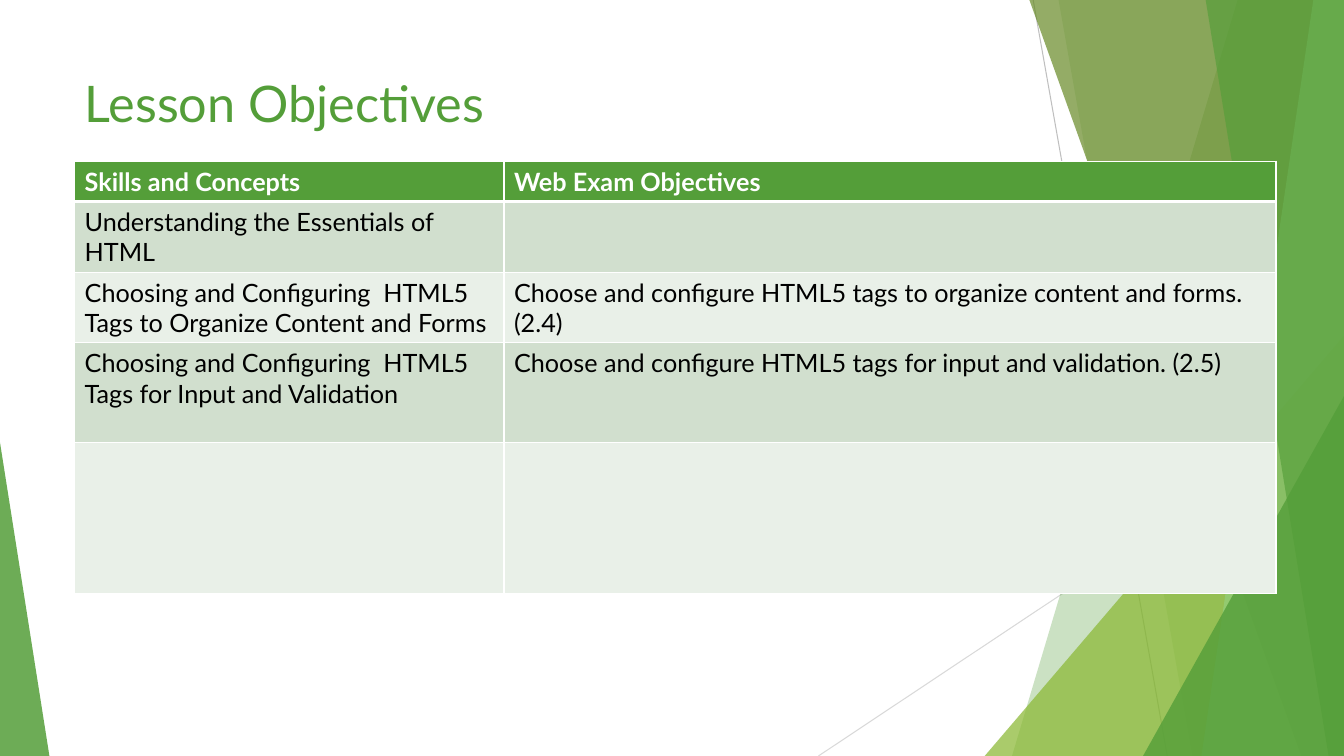
import pptx
import pptx.util
import pptx.dml.color
import pptx.enum.shapes
import pptx.enum.text
import pptx.oxml.ns
from lxml import etree

Pt = pptx.util.Pt
qn = pptx.oxml.ns.qn
COLORS = {
    "green": "549E39", "lime": "8AB833", "olive": "678A26", "mint": "93D07D",
    "gray": "BFBFBF", "light_gray": "D9D9D9", "white": "FFFFFF", "black": "000000",
    "band_dark": "D1DFCE", "band_light": "E9F0E8",
}
WIDTH, HEIGHT = 960, 540


def rgb(name):
    return pptx.dml.color.RGBColor.from_string(COLORS[name])


def style_text(paragraph, size, color, bold=False):
    for span in paragraph.runs:
        span.font.name = "Lato"
        span.font.size = Pt(size)
        span.font.bold = bold
        span.font.color.rgb = rgb(color)


deck = pptx.Presentation()
deck.slide_width, deck.slide_height = Pt(WIDTH), Pt(HEIGHT)
page = deck.slides.add_slide(deck.slide_layouts[5])

rays = [((738, 0), (833.8, HEIGHT), "gray"), ((WIDTH, 290.2), (584.6, HEIGHT), "light_gray")]
for start, end, color in rays:
    ray = page.shapes.add_connector(
        pptx.enum.shapes.MSO_CONNECTOR.STRAIGHT, *[Pt(value) for value in start + end])
    ray.line.color.rgb = rgb(color)
    ray.line.width = Pt(0.75)
    etree.SubElement(ray.element.spPr, qn("a:effectLst"))

facets = [
    ("band", (884.2, 722.9), "green", 30),
    ("band", (756, 851.8), "green", 20),
    ("triangle", (703.4, 239.8, 256.6, 1), "lime", 72),
    ("band", (735.1, 929.5), "olive", 70),
    ("band", (938.2, 858.2), "mint", 70),
    ("band", (861.1, 949), "green", 65),
    ("triangle", (816.5, 283, 143.5, 1), "green", 80),
    ("triangle", (0, 316.1, 35.3, 0), "green", 85),
]
for kind, geometry, color, opacity in facets:
    if kind == "band":
        top_x, bottom_x = geometry
        outline = page.shapes.build_freeform(Pt(top_x), Pt(-0.6))
        corners = [(WIDTH, -0.6), (WIDTH, HEIGHT), (bottom_x, HEIGHT)]
        outline.add_line_segments([(Pt(x), Pt(y)) for x, y in corners], close=True)
        facet = outline.convert_to_shape()
    else:
        left, top, width, apex = geometry
        facet = page.shapes.add_shape(
            pptx.enum.shapes.MSO_SHAPE.ISOSCELES_TRIANGLE,
            Pt(left), Pt(top), Pt(width), Pt(HEIGHT - top))
        facet.adjustments[0] = apex
    facet.shadow.inherit = False
    facet.line.fill.background()
    facet.fill.solid()
    facet.fill.fore_color.rgb = rgb(color)
    tint = facet.element.spPr.find(qn("a:solidFill"))[0]
    etree.SubElement(tint, qn("a:alpha"), val=str(opacity * 1000))

title = page.shapes.title
title.left, title.top, title.width, title.height = Pt(53.3), Pt(48.2), Pt(676.8), Pt(103.7)
title.text_frame.text = "Lesson Objectives"
title.text_frame.word_wrap = True
title.text_frame.auto_size = pptx.enum.text.MSO_AUTO_SIZE.NONE
title.text_frame.vertical_anchor = pptx.enum.text.MSO_ANCHOR.TOP
para = title.text_frame.paragraphs[0]
para.alignment = pptx.enum.text.PP_ALIGN.LEFT
style_text(para, 36, "green")

objectives = [
    ("Skills and Concepts", "Web Exam Objectives"),
    ("Understanding the Essentials of HTML", ""),
    ("Choosing and Configuring  HTML5 Tags to Organize Content and Forms",
     "Choose and configure HTML5 tags to organize content and forms. (2.4)"),
    ("Choosing and Configuring  HTML5 Tags for Input and Validation",
     "Choose and configure HTML5 tags for input and validation. (2.5)"),
    ("", ""),
]
column_widths = [306.7, 551.5]
row_heights = [28.8, 45.4, 45.4, 71.3, 108]
table = page.shapes.add_table(
    len(row_heights), len(column_widths), Pt(53.3), Pt(115.2),
    Pt(sum(column_widths)), Pt(sum(row_heights))).table
for column, width in zip(table.columns, column_widths):
    column.width = Pt(width)

for row_index, texts in enumerate(objectives):
    table.rows[row_index].height = Pt(row_heights[row_index])
    header = row_index == 0
    band = "green" if header else ("band_dark" if row_index % 2 else "band_light")
    borders = {"lnL": 1, "lnR": 1, "lnT": 3 if row_index == 1 else 1, "lnB": 3 if header else 1}
    for column_index, text in enumerate(texts):
        cell = table.cell(row_index, column_index)
        cell.fill.solid()
        cell.fill.fore_color.rgb = rgb(band)
        cell.text_frame.text = text
        style_text(cell.text_frame.paragraphs[0], 18, "white" if header else "black", header)
        properties = cell._tc.get_or_add_tcPr()
        for position, (side, weight) in enumerate(borders.items()):
            border = etree.Element(qn("a:" + side), w=str(Pt(weight)))
            fill = etree.SubElement(border, qn("a:solidFill"))
            etree.SubElement(fill, qn("a:srgbClr"), val=COLORS["white"])
            properties.insert(position, border)

deck.save("out.pptx")
